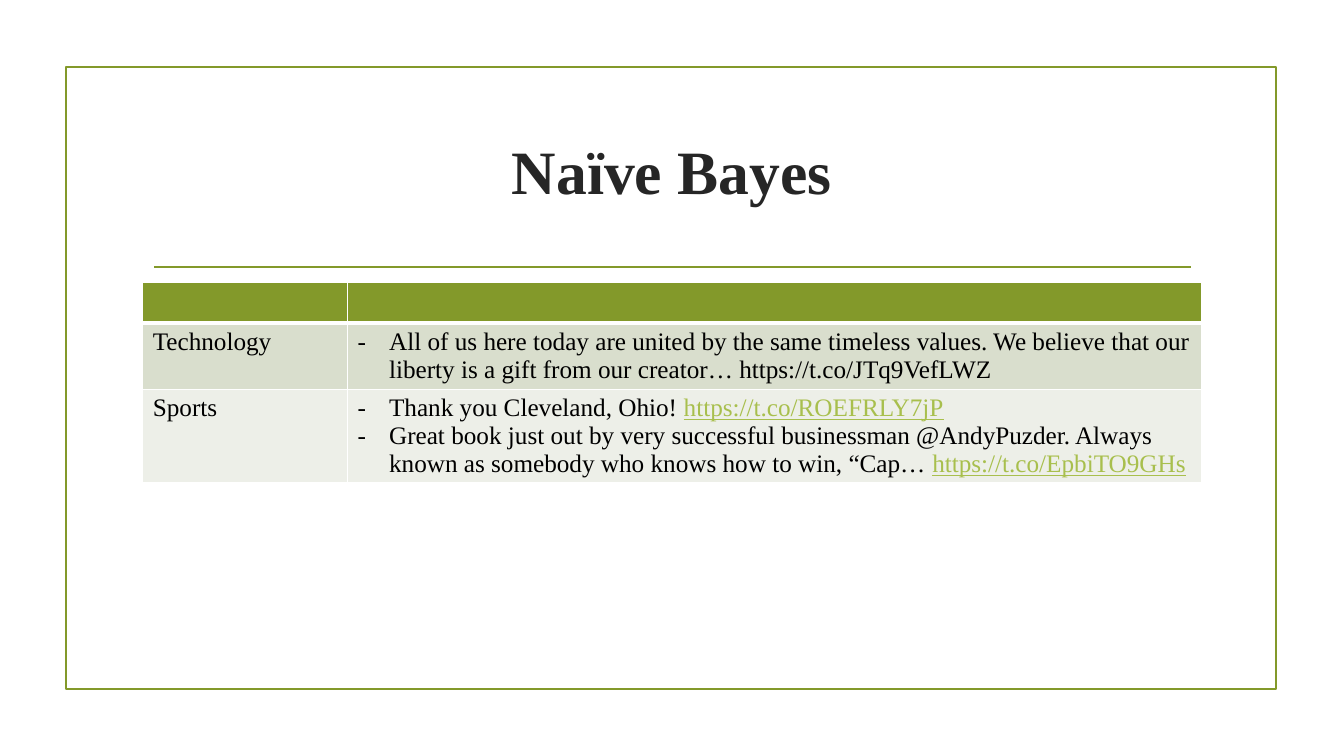
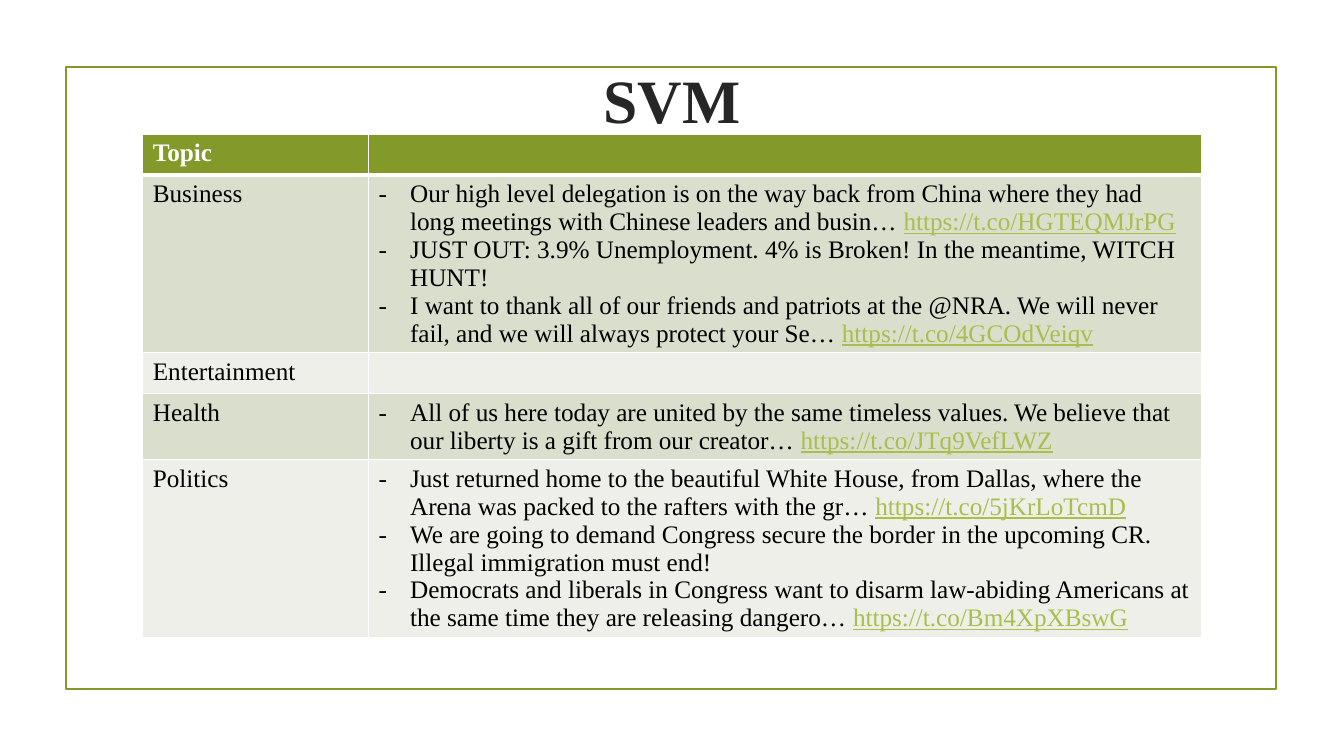
"""Builds two slides that list tweets by predicted topic, one per classifier."""
from dataclasses import dataclass
from typing import NamedTuple

import pptx
import pptx.dml.color
import pptx.enum.shapes
import pptx.enum.text
import pptx.oxml
import pptx.oxml.ns
import pptx.util

PX = 9525


@dataclass(frozen=True)
class Theme:
    font: str = "Times New Roman"
    green: str = "83992A"
    title: str = "262626"
    body: str = "000000"
    link: str = "A8BF4D"
    white: str = "FFFFFF"
    bands: tuple[str, str] = ("D9DECD", "EDEFE8")
    title_size: int = 44
    body_size: int = 18
    rule: float = 1.25
    grid: int = 1
    header_rule: int = 3


class Box(NamedTuple):
    left: int
    top: int
    width: int
    height: int


class Tweet(NamedTuple):
    text: str
    link: str = ""


class Topic(NamedTuple):
    name: str
    height: int
    tweets: tuple[Tweet, ...] = ()


@dataclass(frozen=True)
class TopicSlide:
    title: str
    title_box: Box
    table_top: int
    name_width: int
    topics: tuple[Topic, ...]
    heading: str = ""
    divider: bool = False


THEME = Theme()
FRAME = Box(63, 64, 1152, 592)
DIVIDER = Box(147, 254, 987, 0)
LEFT, WIDTH = 136, 1008
HEADER_HEIGHT = 39
BULLET_INDENT = 30

VALUES = "All of us here today are united by the same timeless values. We believe that our liberty is a gift from our creator… "
VALUES_LINK = "https://t.co/JTq9VefLWZ"

SLIDES = (
    TopicSlide(
        "Naïve Bayes", Box(LEFT, 103, WIDTH, 118), 269, 195,
        (
            Topic("Technology", 62, (Tweet(VALUES + VALUES_LINK),)),
            Topic("Sports", 89, (
                Tweet("Thank you Cleveland, Ohio! ", "https://t.co/ROEFRLY7jP"),
                Tweet("Great book just out by very successful businessman @AndyPuzder. Always known as somebody "
                      "who knows how to win, “Cap… ", "https://t.co/EpbiTO9GHs"),
            )),
        ),
        divider=True,
    ),
    TopicSlide(
        "SVM", Box(LEFT, 52, WIDTH, 84), 128, 215,
        (
            Topic("Business", 169, (
                Tweet("Our high level delegation is on the way back from China where they had long meetings "
                      "with Chinese leaders and busin… ", "https://t.co/HGTEQMJrPG"),
                Tweet("JUST OUT: 3.9% Unemployment. 4% is Broken! In the meantime, WITCH HUNT!"),
                Tweet("I want to thank all of our friends and patriots at the @NRA. We will never fail, "
                      "and we will always protect your Se… ", "https://t.co/4GCOdVeiqv"),
            )),
            Topic("Entertainment", 36),
            Topic("Health", 63, (Tweet(VALUES, VALUES_LINK),)),
            Topic("Politics", 169, (
                Tweet("Just returned home to the beautiful White House, from Dallas, where the Arena was packed "
                      "to the rafters with the gr… ", "https://t.co/5jKrLoTcmD"),
                Tweet("We are going to demand Congress secure the border in the upcoming CR. "
                      "Illegal immigration must end!"),
                Tweet("Democrats and liberals in Congress want to disarm law-abiding Americans at the same time "
                      "they are releasing dangero… ", "https://t.co/Bm4XpXBswG"),
            )),
        ),
        heading="Topic",
    ),
)


def px(length: int) -> pptx.util.Emu:
    return pptx.util.Emu(length * PX)


def rgb(color: str) -> pptx.dml.color.RGBColor:
    return pptx.dml.color.RGBColor.from_string(color)


def add_text(p, text: str, *, size: int = THEME.body_size, color: str = THEME.body,
             bold: bool = False, underline: bool = False) -> None:
    r = p.add_run()
    r.text = text
    r.font.name = THEME.font
    r.font.size = pptx.util.Pt(size)
    r.font.color.rgb = rgb(color)
    r.font.bold = bold
    r.font.underline = underline


def add_child(parent, tag: str, **attributes: str):
    child = pptx.oxml.parse_xml(f"<{tag} {pptx.oxml.ns.nsdecls('a')}/>")
    for name, value in attributes.items():
        child.set(name, value)
    parent.append(child)
    return child


def add_dash(p) -> None:
    ppr = p._p.get_or_add_pPr()
    ppr.set("marL", str(px(BULLET_INDENT)))
    ppr.set("indent", str(-px(BULLET_INDENT)))
    add_child(ppr, "a:buFont", typeface=THEME.font)
    add_child(ppr, "a:buChar", char="-")


def format_cell(cell, fill: str, top: int, bottom: int) -> None:
    tcpr = cell._tc.get_or_add_tcPr()
    for side, width in (("L", THEME.grid), ("R", THEME.grid), ("T", top), ("B", bottom)):
        ln = add_child(tcpr, f"a:ln{side}", w=str(pptx.util.Pt(width)))
        add_child(add_child(ln, "a:solidFill"), "a:srgbClr", val=THEME.white)
    cell.fill.solid()
    cell.fill.fore_color.rgb = rgb(fill)


def add_frame(s) -> None:
    sp = s.shapes.add_shape(pptx.enum.shapes.MSO_SHAPE.RECTANGLE, *map(px, FRAME))
    sp.shadow.inherit = False
    sp.fill.background()
    sp.line.color.rgb = rgb(THEME.green)
    sp.line.width = pptx.util.Pt(THEME.rule)


def add_divider(s) -> None:
    x, y, width, height = DIVIDER
    line = s.shapes.add_connector(pptx.enum.shapes.MSO_CONNECTOR.STRAIGHT,
                                  px(x), px(y), px(x + width), px(y + height))
    line.line.color.rgb = rgb(THEME.green)
    line.line.width = pptx.util.Pt(THEME.rule)
    add_child(line._element.spPr, "a:effectLst")


def set_title(s, text: str, box: Box) -> None:
    sp = s.shapes.title
    sp.left, sp.top, sp.width, sp.height = map(px, box)
    tf = sp.text_frame
    tf.word_wrap = True
    tf.auto_size = pptx.enum.text.MSO_AUTO_SIZE.NONE
    tf.vertical_anchor = pptx.enum.text.MSO_ANCHOR.MIDDLE
    p = tf.paragraphs[0]
    p.alignment = pptx.enum.text.PP_ALIGN.CENTER
    add_text(p, text, size=THEME.title_size, color=THEME.title, bold=True)


def add_tweets(tf, tweets: tuple[Tweet, ...]) -> None:
    for i, tweet in enumerate(tweets):
        p = tf.add_paragraph() if i else tf.paragraphs[0]
        add_dash(p)
        add_text(p, tweet.text)
        if tweet.link:
            add_text(p, tweet.link, color=THEME.link, underline=True)


def add_topic_table(s, content: TopicSlide) -> None:
    heights = [HEADER_HEIGHT, *(topic.height for topic in content.topics)]
    table = s.shapes.add_table(len(heights), 2, px(LEFT), px(content.table_top),
                               px(WIDTH), px(sum(heights))).table
    for column, width in zip(table.columns, (content.name_width, WIDTH - content.name_width)):
        column.width = px(width)
    for i, height in enumerate(heights):
        table.rows[i].height = px(height)
        fill = THEME.bands[(i - 1) % 2] if i else THEME.green
        for cell in table.rows[i].cells:
            format_cell(cell, fill, THEME.header_rule if i == 1 else THEME.grid,
                        THEME.grid if i else THEME.header_rule)
    if content.heading:
        add_text(table.cell(0, 0).text_frame.paragraphs[0], content.heading,
                 color=THEME.white, bold=True)
    for i, topic in enumerate(content.topics, start=1):
        add_text(table.cell(i, 0).text_frame.paragraphs[0], topic.name)
        add_tweets(table.cell(i, 1).text_frame, topic.tweets)


def add_topic_slide(prs, content: TopicSlide) -> None:
    s = prs.slides.add_slide(prs.slide_layouts.get_by_name("Title Only"))
    add_frame(s)
    if content.divider:
        add_divider(s)
    set_title(s, content.title, content.title_box)
    add_topic_table(s, content)


def main() -> None:
    prs = pptx.Presentation()
    prs.slide_width, prs.slide_height = px(1280), px(720)
    for content in SLIDES:
        add_topic_slide(prs, content)
    prs.save("out.pptx")


if __name__ == "__main__":
    main()
